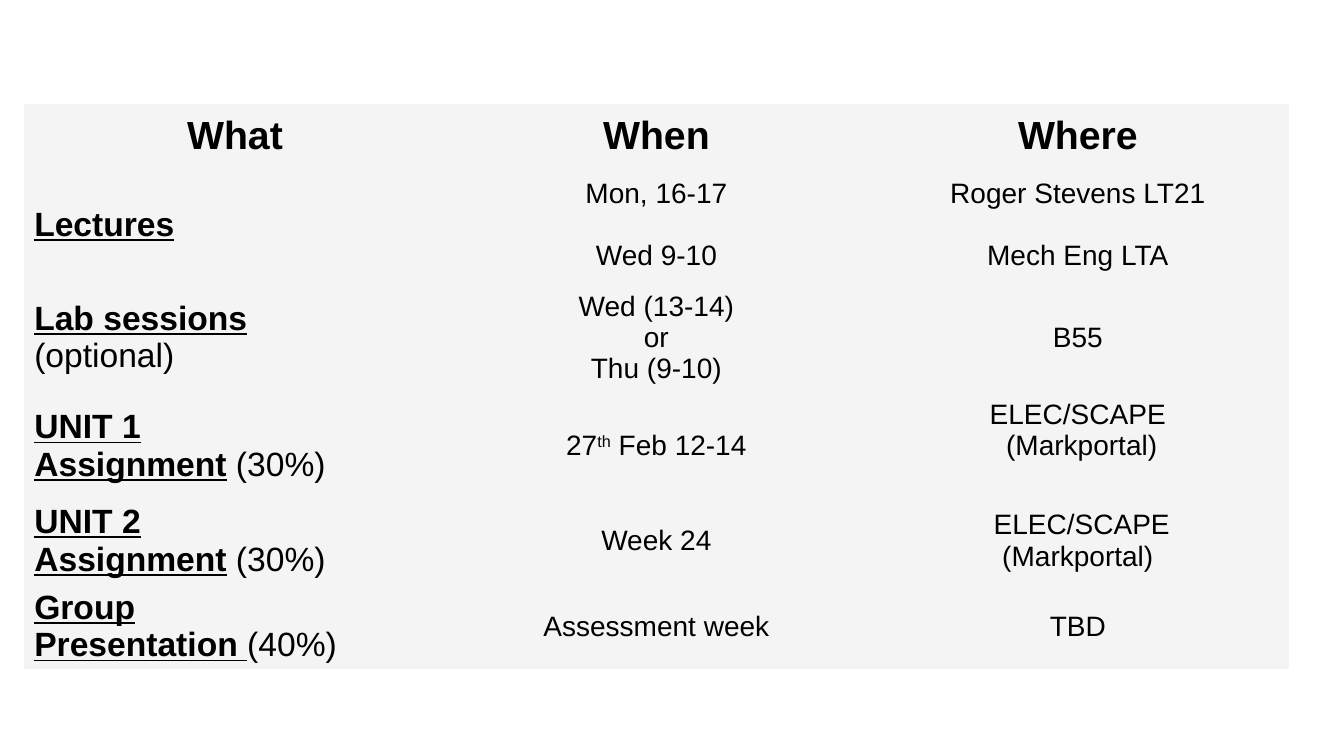
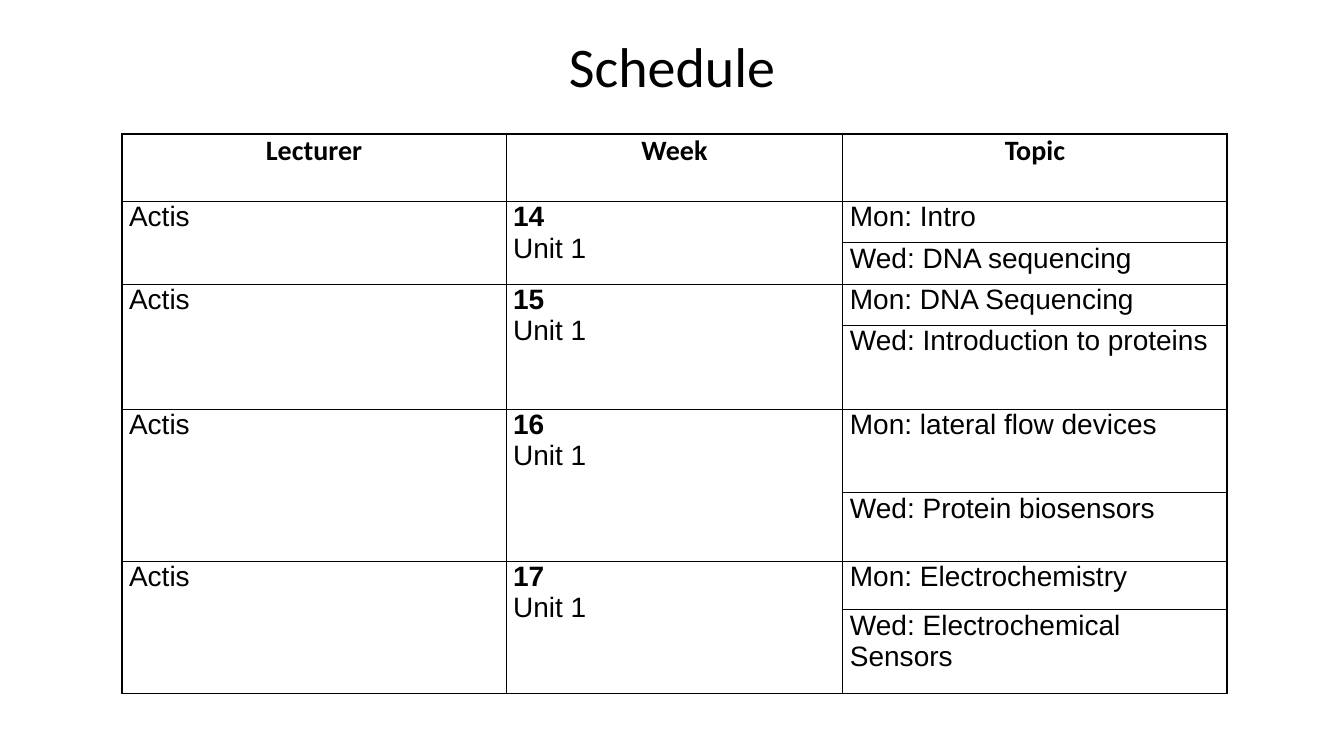
from lxml import etree
from pptx import Presentation
from pptx.dml.color import RGBColor
from pptx.enum.text import MSO_ANCHOR, PP_ALIGN
from pptx.oxml.ns import qn
from pptx.util import Inches, Pt

LEFT, CENTER = PP_ALIGN.LEFT, PP_ALIGN.CENTER
TOP, MIDDLE = MSO_ANCHOR.TOP, MSO_ANCHOR.MIDDLE
BLACK = RGBColor(0x00, 0x00, 0x00)
PALE_GREY = RGBColor(0xF4, 0xF4, 0xF4)
BODY_FONT, HEADING_FONT = "Arial", "Calibri"
PLAIN_TABLE_STYLE = "{2D5ABB26-0587-4C30-8999-92F81FD0307C}"
TITLE_ONLY, BLANK = 5, 6
NBSP = chr(160)  # keeps a weighting on the line of its last word


def add_plain_table(slide, left, top, column_widths, row_heights):
    """Add a table without banding, sized by its columns and rows."""
    frame = slide.shapes.add_table(
        len(row_heights), len(column_widths), Inches(left), Inches(top),
        Inches(sum(column_widths)), Inches(sum(row_heights)))
    table = frame.table
    table.first_row = table.horz_banding = False
    table._tbl.tblPr.find(qn("a:tableStyleId")).text = PLAIN_TABLE_STYLE
    for column, width in zip(table.columns, column_widths):
        column.width = Inches(width)
    for row, height in zip(table.rows, row_heights):
        row.height = Inches(height)
    return table


def write_text(text_frame, paragraphs, size, alignment, font_name=BODY_FONT, gap=0):
    """Write paragraphs of (text, style) runs; b bold, u underlined, s superscript."""
    for index, runs in enumerate(paragraphs):
        paragraph = text_frame.paragraphs[0] if index == 0 else text_frame.add_paragraph()
        paragraph.alignment = alignment
        if index and gap:
            paragraph.space_before = Pt(gap)
        for text, style in runs:
            run = paragraph.add_run()
            run.text = text
            run.font.name = font_name
            run.font.size = Pt(size)
            run.font.color.rgb = BLACK
            run.font.bold = "b" in style
            run.font.underline = "u" in style
            if "s" in style:
                run._r.get_or_add_rPr().set("baseline", "30000")


presentation = Presentation()
presentation.slide_width = Inches(13.33)
presentation.slide_height = Inches(7.5)

# Slide 1: what, when and where
slide = presentation.slides.add_slide(presentation.slide_layouts[BLANK])
overview = [
    ([[("Lectures", "bu")]],
     [[("Mon, 16-17", "")], [("Wed 9-10", "")]],
     [[("Roger Stevens LT21", "")], [("Mech Eng LTA", "")]]),
    ([[("Lab sessions", "bu")], [("(optional)", "")]],
     [[("Wed (13-14)", "")], [("or", "")], [("Thu (9-10)", "")]],
     [[("B55", "")]]),
    ([[("UNIT 1 Assignment", "bu"), (NBSP + "(30%)", "")]],
     [[("27", ""), ("th", "s"), (" Feb 12-14", "")]],
     [[("ELEC/SCAPE", "")], [(" (Markportal)", "")]]),
    ([[("UNIT 2 Assignment", "bu"), (NBSP + "(30%)", "")]],
     [[("Week 24", "")]],
     [[(" ELEC/SCAPE", "")], [("(Markportal)", "")]]),
    ([[("Group Presentation" + NBSP, "bu"), ("(40%)", "")]],
     [[("Assessment week", "")]],
     [[("TBD", "")]]),
]
table = add_plain_table(slide, 0.24, 1.03, [4.18] * 3, [0.64, 1.12, 1.12, 1.03, 0.85, 0.85])
for cell in table.iter_cells():
    cell.fill.solid()
    cell.fill.fore_color.rgb = PALE_GREY
    cell.vertical_anchor = MIDDLE
for column, heading in enumerate(["What", "When", "Where"]):
    write_text(table.cell(0, column).text_frame, [[(heading, "b")]], 28, CENTER)
for row, (what, when, where) in enumerate(overview, start=1):
    write_text(table.cell(row, 0).text_frame, what, 24, LEFT)
    lecture_gap = 22.5 if row == 1 else 0
    for column, paragraphs in ((1, when), (2, where)):
        write_text(table.cell(row, column).text_frame, paragraphs, 20, CENTER, gap=lecture_gap)
table.cell(3, 2).margin_bottom = Inches(0.36)

# Slide 2: schedule title
slide = presentation.slides.add_slide(presentation.slide_layouts[TITLE_ONLY])
title = slide.shapes.title
title.left, title.top = 0, Inches(0.26)
title.width, title.height = presentation.slide_width, Inches(0.77)
write_text(title.text_frame, [[("Schedule", "")]], 40, CENTER, HEADING_FONT)

# Schedule table: each week spans a Monday and a Wednesday row
weeks = [
    ("14", "Mon: Intro", "Wed: DNA sequencing"),
    ("15", "Mon: DNA Sequencing", "Wed: Introduction to proteins"),
    ("16", "Mon: lateral flow devices", "Wed: Protein biosensors"),
    ("17", "Mon: Electrochemistry", "Wed: Electrochemical Sensors"),
]
table = add_plain_table(slide, 1.21, 1.33, [3.81, 3.34, 3.81],
                        [0.67, 0.41, 0.41, 0.41, 0.83, 0.83, 0.68, 0.48, 0.83])
for cell in table.iter_cells():
    cell.margin_left = cell.margin_right = Inches(0.07)
    cell.margin_top = cell.margin_bottom = 0
    cell.vertical_anchor = TOP
    properties = cell._tc.get_or_add_tcPr()
    for side in ("a:lnL", "a:lnR", "a:lnT", "a:lnB"):
        line = etree.SubElement(properties, qn(side), w=str(Pt(1)))
        fill = etree.SubElement(line, qn("a:solidFill"))
        etree.SubElement(fill, qn("a:srgbClr"), val=str(BLACK))
    cell.fill.background()
for column, heading in enumerate(["Lecturer", "Week", "Topic"]):
    write_text(table.cell(0, column).text_frame, [[(heading, "b")]], 20, CENTER, HEADING_FONT)
for index, (week, *topics) in enumerate(weeks):
    first_row = 1 + 2 * index
    for column in (0, 1):
        table.cell(first_row, column).merge(table.cell(first_row + 1, column))
    write_text(table.cell(first_row, 0).text_frame, [[("Actis", "")]], 20, LEFT)
    write_text(table.cell(first_row, 1).text_frame, [[(week, "b")], [("Unit 1", "")]], 20, LEFT)
    for offset, topic in enumerate(topics):
        write_text(table.cell(first_row + offset, 2).text_frame, [[(topic, "")]], 20, LEFT)

presentation.save("out.pptx")
